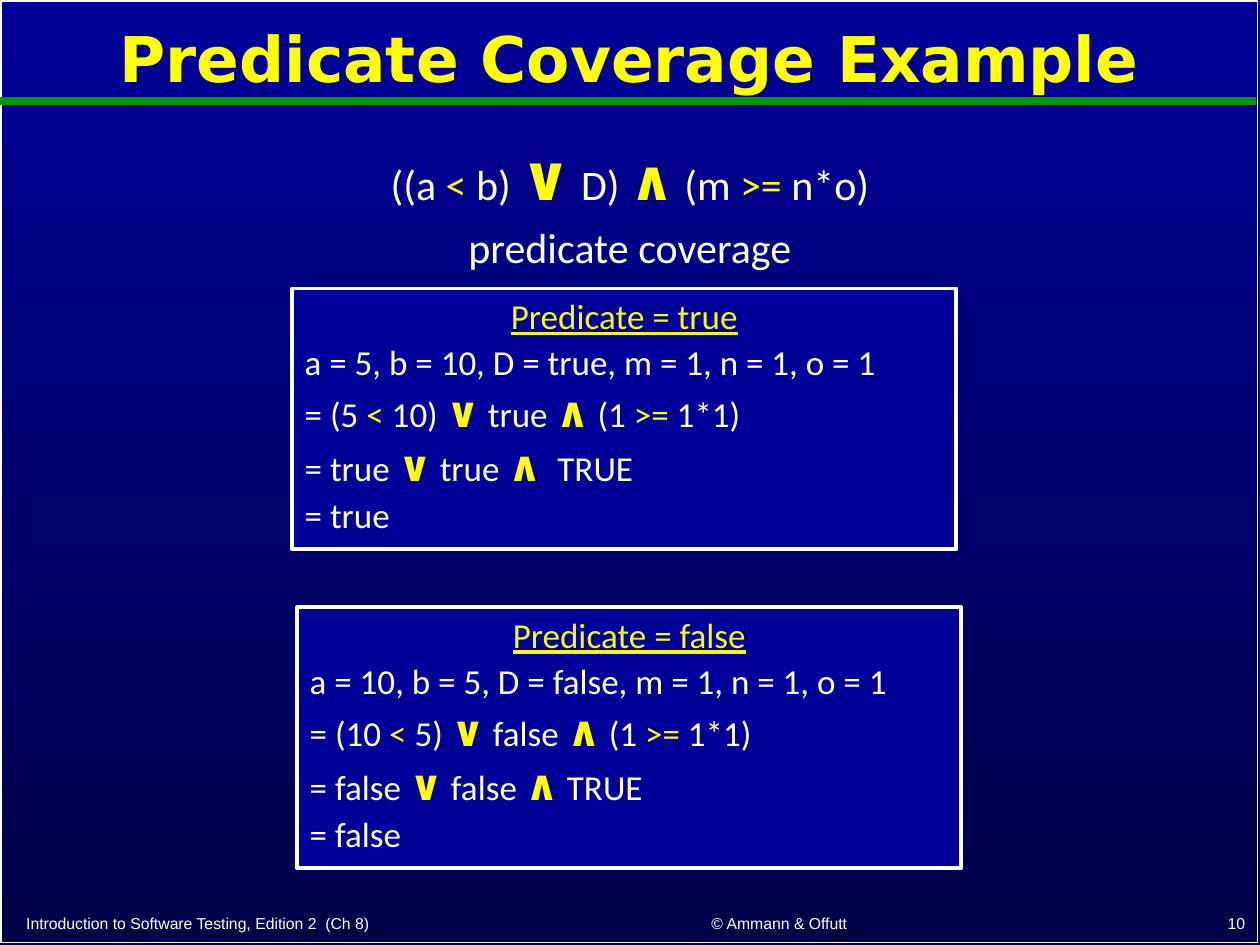
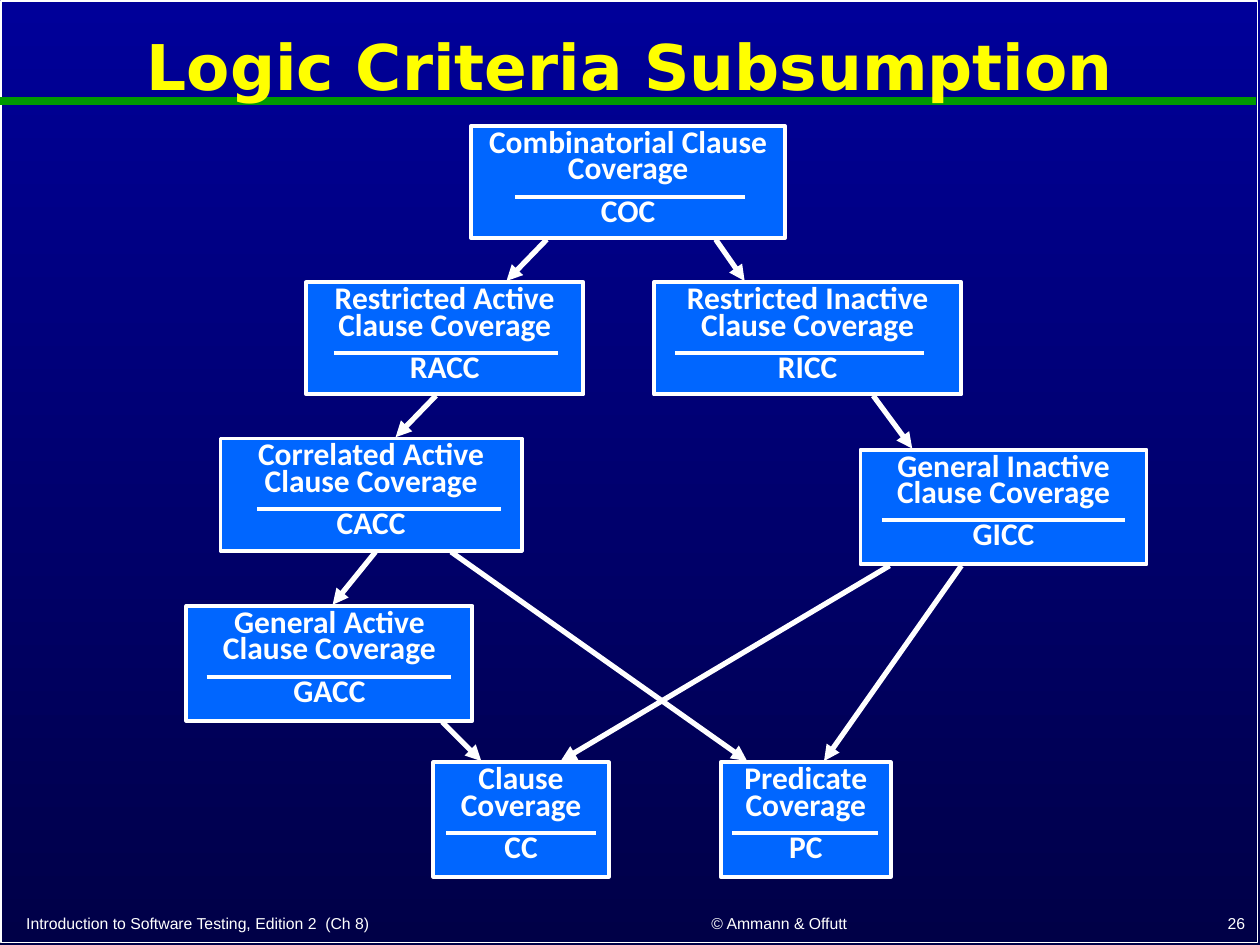
from itertools import groupby

from lxml import etree
from pptx import Presentation
from pptx.dml.color import RGBColor
from pptx.enum.shapes import MSO_CONNECTOR, MSO_SHAPE
from pptx.enum.text import MSO_ANCHOR, MSO_AUTO_SIZE, PP_ALIGN
from pptx.oxml.ns import qn
from pptx.util import Inches, Pt

RECT, STRAIGHT = MSO_SHAPE.RECTANGLE, MSO_CONNECTOR.STRAIGHT
LEFT, CENTER, RIGHT = PP_ALIGN.LEFT, PP_ALIGN.CENTER, PP_ALIGN.RIGHT
TOP, MIDDLE, BOTTOM = MSO_ANCHOR.TOP, MSO_ANCHOR.MIDDLE, MSO_ANCHOR.BOTTOM
NO_FIT = MSO_AUTO_SIZE.NONE

NAVY = RGBColor(0x00, 0x00, 0x99)
MIDNIGHT = RGBColor(0x00, 0x00, 0x47)
BLUE = RGBColor(0x00, 0x66, 0xFF)
GREEN = RGBColor(0x00, 0x99, 0x00)
WHITE = RGBColor(0xFF, 0xFF, 0xFF)
YELLOW = RGBColor(0xFF, 0xFF, 0x00)
LEMON = RGBColor(0xFA, 0xFD, 0x00)

BODY_FONT = "Calibri"
TITLE_FORMAT = dict(name="DejaVu Sans", size=Pt(36), bold=True)
FOOTER_FORMAT = dict(name="Arial", size=Pt(9))
NODE_FORMAT = dict(name=BODY_FONT, size=Pt(18), bold=True)

COMPARISONS = ("<", ">=")
CONNECTIVES = ("∨", "∧")

FOOTERS = [
    ("Introduction to Software Testing, Edition 2  (Ch 8)", (0.11, 7.2, 4.27, 0.25), LEFT),
    ("© Ammann & Offutt", (4.6, 7.19, 3.17, 0.26), CENTER),
]
NUMBER_BOX = (7.9, 7.19, 2.08, 0.26)

CASES = [
    ((2.32, 2.29, 5.27, 2.07), [
        "Predicate = true",
        "a = 5, b = 10, D = true, m = 1, n = 1, o = 1",
        "= (5 < 10) ∨ true ∧ (1 >= 1*1)",
        "= true ∨ true ∧  TRUE",
        "= true",
    ]),
    ((2.36, 4.82, 5.27, 2.07), [
        "Predicate = false",
        "a = 10, b = 5, D = false, m = 1, n = 1, o = 1",
        "= (10 < 5) ∨ false ∧ (1 >= 1*1)",
        "= false ∨ false ∧ TRUE",
        "= false",
    ]),
]

# Abbreviation: name, box, left and right end of the rule from the box's left
CRITERIA = {
    "COC": ("Combinatorial Clause Coverage", (3.74, 1, 2.49, 0.89), 0.35, 2.17),
    "RACC": ("Restricted Active Clause Coverage", (2.43, 2.24, 2.2, 0.89), 0.22, 2),
    "RICC": ("Restricted Inactive Clause Coverage", (5.19, 2.24, 2.44, 0.89), 0.17, 2.14),
    "CACC": ("Correlated Active Clause Coverage", (1.75, 3.48, 2.39, 0.89), 0.29, 2.23),
    "GICC": ("General Inactive Clause Coverage", (6.83, 3.57, 2.27, 0.91), 0.17, 2.1),
    "GACC": ("General Active Clause Coverage", (1.48, 4.81, 2.27, 0.91), 0.16, 2.1),
    "CC": ("Clause Coverage", (3.44, 6.05, 1.39, 0.91), 0.1, 1.29),
    "PC": ("Predicate Coverage", (5.72, 6.05, 1.35, 0.91), 0.09, 1.25),
}
# Stronger criterion, x from its left, weaker criterion, x from its left
SUBSUMPTIONS = [
    ("COC", 0.6, "RACC", 1.59),
    ("COC", 1.94, "RICC", 0.72),
    ("RACC", 1.03, "CACC", 1.39),
    ("RICC", 1.74, "GICC", 0.41),
    ("CACC", 1.23, "GACC", 1.16),
    ("CACC", 1.83, "PC", 0.21),
    ("GACC", 2.03, "CC", 0.38),
    ("GICC", 0.23, "CC", 1.01),
    ("GICC", 0.8, "PC", 0.82),
]
RULE_DROP = 0.56
ARROW_GAP = 0.01


def inches(box):
    return [Inches(v) for v in box]


def format_run(r, color, **values):
    for key, value in values.items():
        setattr(r.font, key, value)
    r.font.color.rgb = color


def add_run(p, text, color, **values):
    r = p.add_run()
    r.text = text
    format_run(r, color, **values)


def set_frame(tf, anchor, wrap=True):
    for key, value in dict(auto_size=NO_FIT, vertical_anchor=anchor, word_wrap=wrap).items():
        setattr(tf, key, value)


def add_paragraph(tf, index, align, spacing=1.0, before=0):
    """Return paragraph number index; space goes before all but the first."""
    p = tf.add_paragraph() if index else tf.paragraphs[0]
    p.alignment, p.line_spacing = align, spacing
    p.space_before = Pt(before if index else 0)
    return p


def add_box(slide, box, fill, weight):
    sp = slide.shapes.add_shape(RECT, *inches(box))
    sp.shadow.inherit = False
    if fill is None:
        sp.fill.background()
    else:
        sp.fill.solid()
        sp.fill.fore_color.rgb = fill
    sp.line.color.rgb, sp.line.width = WHITE, Pt(weight)
    set_frame(sp.text_frame, TOP)
    return sp


def add_line(slide, ends, color, weight, arrow=False):
    line = slide.shapes.add_connector(STRAIGHT, *inches(ends))
    line.line.color.rgb, line.line.width = color, Pt(weight)
    props = line.element.spPr
    if arrow:
        etree.SubElement(props.find(qn("a:ln")), qn("a:tailEnd"), type="triangle")
    etree.SubElement(props, qn("a:effectLst"))


def add_text_box(slide, box, anchor, wrap=True):
    tf = slide.shapes.add_textbox(*inches(box)).text_frame
    set_frame(tf, anchor, wrap)
    return tf


def add_expression(p, text, size, symbol_sizes):
    """Write a logic expression with its operators picked out in yellow."""
    operators = COMPARISONS + CONNECTIVES
    groups = [(key, " ".join(words)) for key, words in
              groupby(text.split(" "), lambda w: w if w in operators else "")]
    for i, (operator, part) in enumerate(groups):
        if operator:
            bold = operator in CONNECTIVES
            points = symbol_sizes[operator] if bold else size
            add_run(p, part, YELLOW, name=BODY_FONT, size=Pt(points), bold=bold)
        else:
            before = " " if i else ""
            after = " " if i < len(groups) - 1 else ""
            add_run(p, before + part + after, WHITE, name=BODY_FONT, size=Pt(size))


def set_background(prs):
    fill = prs.slide_master.background.fill
    fill.gradient()
    fill.gradient_angle = 270
    for stop, position, color in zip(fill.gradient_stops, (0, 1), (NAVY, MIDNIGHT)):
        stop.position, stop.color.rgb = position, color


def add_base_slide(prs, title, title_box, number):
    """Slide with frame, green band, footers and title."""
    slide = prs.slides.add_slide(prs.slide_layouts[5])
    add_box(slide, (0.01, 0.01, 9.97, 7.47), None, 1)
    add_line(slide, (0, 0.8, 9.97, 0.8), GREEN, 4.5)
    for text, box, align in FOOTERS + [(number, NUMBER_BOX, RIGHT)]:
        p = add_paragraph(add_text_box(slide, box, BOTTOM, wrap=False), 0, align)
        add_run(p, text, WHITE, **FOOTER_FORMAT)

    # Title stays in front of the band
    sp = slide.shapes.title
    sp.left, sp.top, sp.width, sp.height = inches(title_box)
    set_frame(sp.text_frame, MIDDLE)
    add_run(add_paragraph(sp.text_frame, 0, CENTER, 0.9), title, YELLOW, **TITLE_FORMAT)
    sp.element.getparent().append(sp.element)
    return slide


def add_formula(slide, box):
    tf = add_text_box(slide, box, TOP)
    for i, text in enumerate(["((a < b) ∨ D) ∧ (m >= n*o)", "predicate coverage"]):
        p = add_paragraph(tf, i, CENTER, 0.9, 7.2)
        add_expression(p, text, 24, {"∨": 36, "∧": 32})


def add_case(slide, box, lines):
    tf = add_box(slide, box, NAVY, 2.25).text_frame
    heading, *steps = lines
    add_run(add_paragraph(tf, 0, CENTER), heading, LEMON,
            name=BODY_FONT, size=Pt(20), underline=True)
    for i, step in enumerate(steps, 1):
        add_expression(add_paragraph(tf, i, LEFT, before=2), step, 20,
                       dict.fromkeys(CONNECTIVES, 24))


def add_criterion(slide, abbreviation, name, box, rule_start, rule_end):
    tf = add_box(slide, box, BLUE, 2.25).text_frame
    for i, text in enumerate([name, abbreviation]):
        add_run(add_paragraph(tf, i, CENTER, 0.7, 9), text, WHITE, **NODE_FORMAT)
    left, top = box[:2]
    y = top + RULE_DROP
    add_line(slide, (left + rule_start, y, left + rule_end, y), WHITE, 2.25)


def add_subsumption(slide, stronger, x1, weaker, x2):
    left1, top1, _, height1 = CRITERIA[stronger][1]
    left2, top2 = CRITERIA[weaker][1][:2]
    ends = (left1 + x1, top1 + height1 + ARROW_GAP, left2 + x2, top2 - ARROW_GAP)
    add_line(slide, ends, WHITE, 3, arrow=True)


def main():
    prs = Presentation()
    prs.slide_width, prs.slide_height = Inches(10), Inches(7.5)
    set_background(prs)

    # Predicate coverage
    slide = add_base_slide(prs, "Predicate Coverage Example", (0.1, 0.05, 9.79, 0.88), "10")
    add_formula(slide, (0.15, 1.11, 9.7, 0.99))
    for box, lines in CASES:
        add_case(slide, box, lines)

    # Subsumption graph
    slide = add_base_slide(prs, "Logic Criteria Subsumption", (0, 0.11, 10, 0.89), "26")
    for abbreviation, criterion in CRITERIA.items():
        add_criterion(slide, abbreviation, *criterion)
    for subsumption in SUBSUMPTIONS:
        add_subsumption(slide, *subsumption)

    prs.save("out.pptx")


if __name__ == "__main__":
    main()
